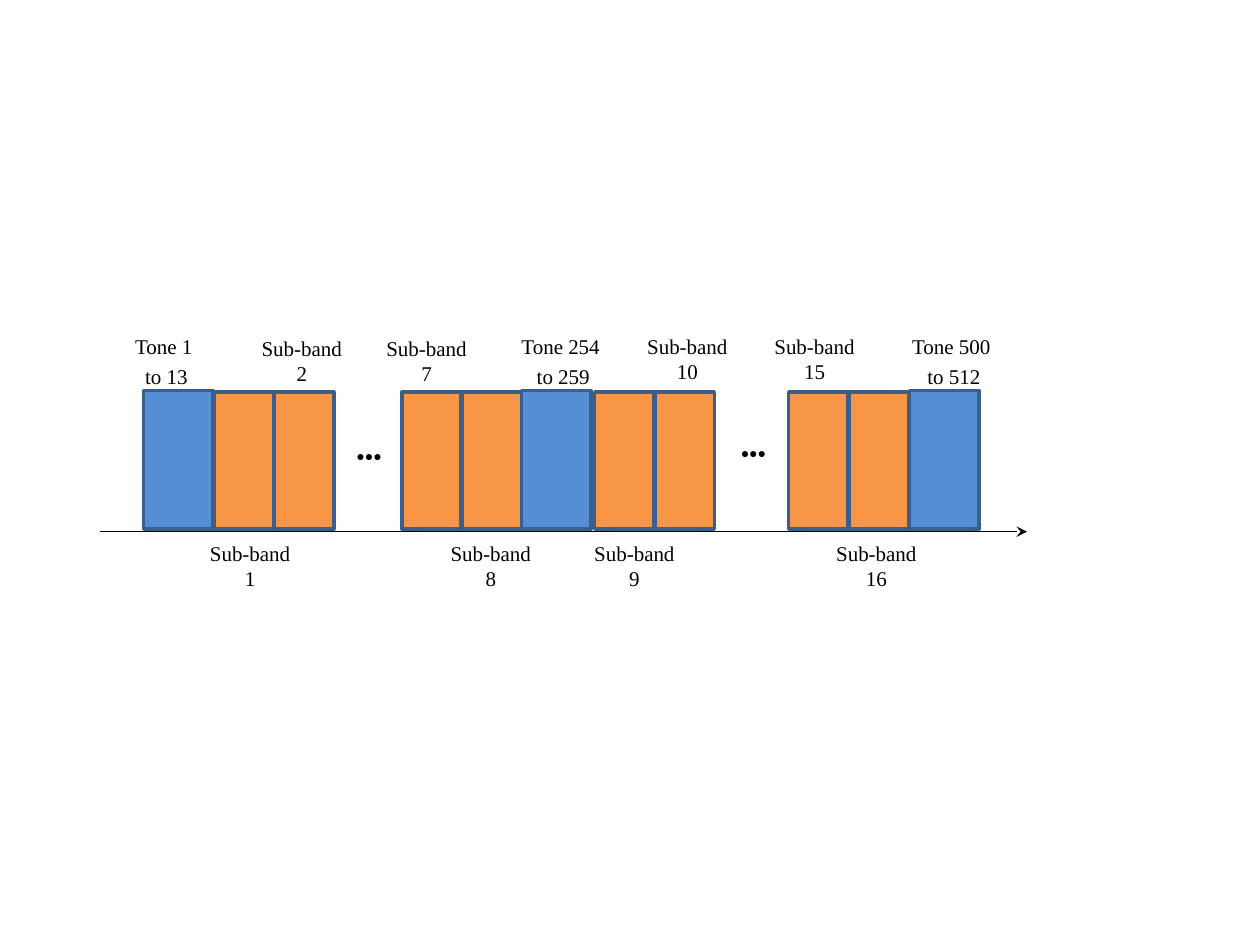
from lxml import etree
from pptx import Presentation
from pptx.dml.color import RGBColor
from pptx.enum.shapes import MSO_CONNECTOR, MSO_SHAPE
from pptx.enum.text import PP_ALIGN
from pptx.oxml.ns import qn
from pptx.util import Inches, Pt

THEME = {
    "font": "Times New Roman",
    "text": "000000",
    "guard": "558ED5",
    "band": "F79646",
    "outline": "3A5F8C",
    "label_size": 12,
    "dots_size": 8,
}

GUARD_TONES = [
    (1.14, 0.75, ["Tone 1", " to 13"]),
    (4.14, 3.9, ["Tone 254", " to 259"]),
    (7.22, 7.0, ["Tone 500", " to 512"]),
]
BAND_PAIR_LEFTS = [1.7, 3.19, 4.72, 6.26]
UPPER_LABELS = [(2, 1.94, 2.61), (7, 2.93, 2.61), (10, 5.0, 2.6), (15, 6.01, 2.6)]
LOWER_LABELS = [(1, 1.53, 4.24), (8, 3.44, 4.24), (9, 4.58, 4.24), (16, 6.5, 4.24)]
DOTS = [(2.42, 3.5), (5.47, 3.48)]

GUARD_WIDTH, BAND_WIDTH, BAND_PITCH = 0.55, 0.47, 0.48
BLOCK_BOTTOM, GUARD_HEIGHT, BAND_HEIGHT = 4.2, 1.1, 1.09
AXIS_LEFT, AXIS_RIGHT, AXIS_TOP = 0.79, 8.15, 4.22


def color(name):
    return RGBColor.from_string(THEME[name])


def add_axis(slide):
    axis = slide.shapes.add_connector(
        MSO_CONNECTOR.STRAIGHT,
        Inches(AXIS_LEFT), Inches(AXIS_TOP), Inches(AXIS_RIGHT), Inches(AXIS_TOP),
    )
    axis.line.color.rgb = color("text")
    axis.line.width = Pt(0.75)
    arrowhead = etree.SubElement(axis.line._get_or_add_ln(), qn("a:tailEnd"))
    arrowhead.set("type", "stealth")
    etree.SubElement(axis._element.spPr, qn("a:effectLst"))


def add_block(slide, left, width, height, fill):
    shape = slide.shapes.add_shape(
        MSO_SHAPE.RECTANGLE,
        Inches(left), Inches(BLOCK_BOTTOM - height), Inches(width), Inches(height),
    )
    shape.shadow.inherit = False
    shape.fill.solid()
    shape.fill.fore_color.rgb = color(fill)
    shape.line.color.rgb = color("outline")
    shape.line.width = Pt(2)


def add_text(slide, lines, left, top, width, height, size="label_size"):
    box = slide.shapes.add_textbox(Inches(left), Inches(top), Inches(width), Inches(height))
    frame = box.text_frame
    frame.word_wrap = True
    for index, line in enumerate(lines):
        paragraph = frame.add_paragraph() if index else frame.paragraphs[0]
        paragraph.alignment = PP_ALIGN.CENTER
        if index:
            paragraph.space_before = Pt(THEME[size] * 0.2)
        run = paragraph.add_run()
        run.text = line
        run.font.name = THEME["font"]
        run.font.size = Pt(THEME[size])
        run.font.color.rgb = color("text")


def main():
    presentation = Presentation()
    presentation.slide_width = Inches(10)
    presentation.slide_height = Inches(7.5)
    slide = presentation.slides.add_slide(presentation.slide_layouts[6])

    add_axis(slide)
    for pair_left in BAND_PAIR_LEFTS:
        for position in range(2):
            left = pair_left + position * BAND_PITCH
            add_block(slide, left, BAND_WIDTH, BAND_HEIGHT, "band")
    for left, label_left, lines in GUARD_TONES:
        add_block(slide, left, GUARD_WIDTH, GUARD_HEIGHT, "guard")
        add_text(slide, lines, label_left, 2.6, 1.1, 0.61)
    for left, top in DOTS:
        add_text(slide, ["●●●"], left, top, 1.02, 0.29, size="dots_size")
    for number, left, top in UPPER_LABELS + LOWER_LABELS:
        add_text(slide, [f"Sub-band {number}"], left, top, 0.91, 0.38)

    presentation.save("out.pptx")


if __name__ == "__main__":
    main()
